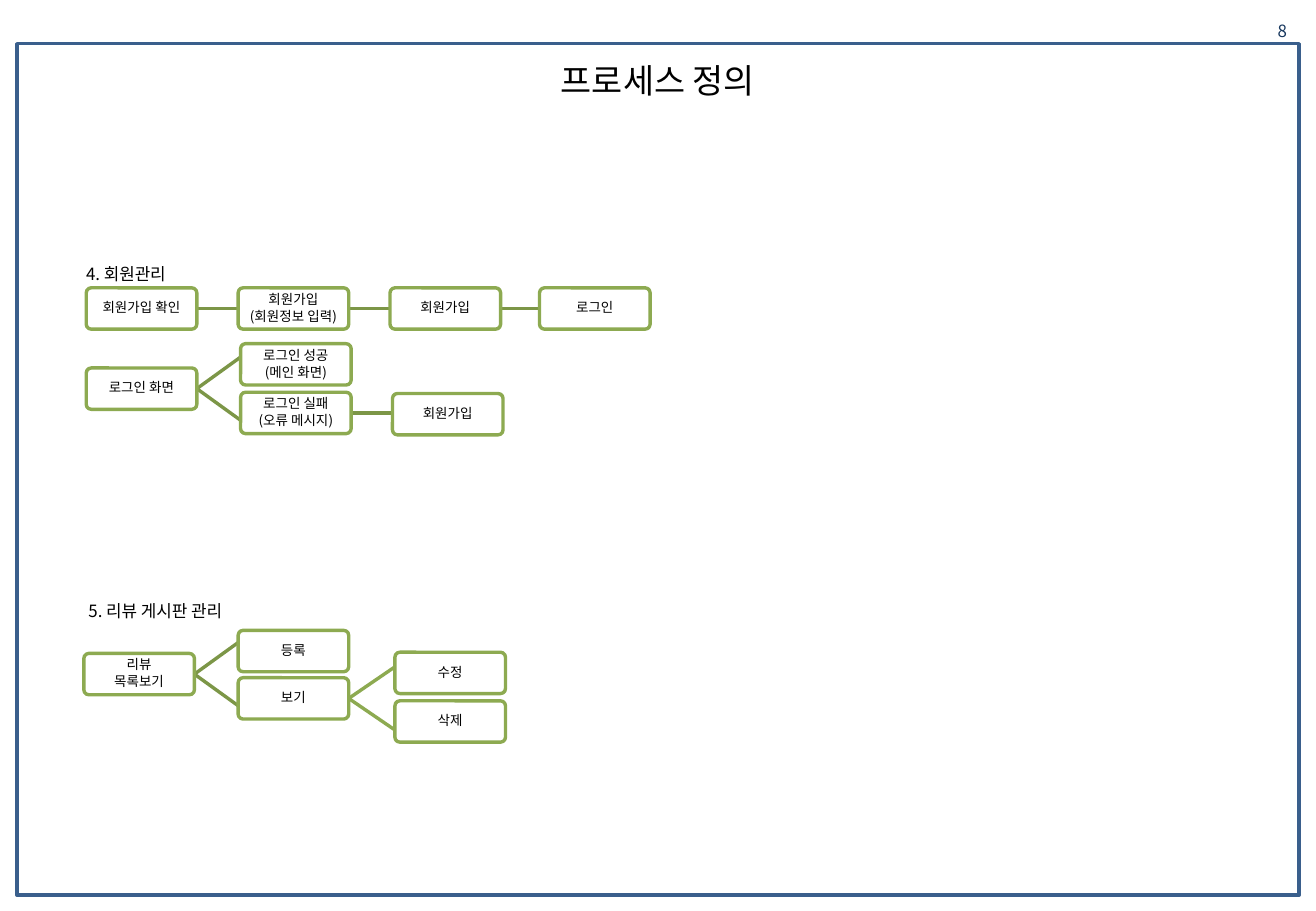
"""Build the process definition slide: member and review board flows."""
from lxml import etree
from pptx import Presentation
from pptx.dml.color import RGBColor
from pptx.enum.shapes import MSO_CONNECTOR, MSO_SHAPE
from pptx.enum.text import MSO_ANCHOR, PP_ALIGN
from pptx.oxml.ns import qn
from pptx.util import Inches, Pt

RECT, ROUNDED = MSO_SHAPE.RECTANGLE, MSO_SHAPE.ROUNDED_RECTANGLE
STRAIGHT = MSO_CONNECTOR.STRAIGHT
MIDDLE = MSO_ANCHOR.MIDDLE
LEFT, CENTER, RIGHT = PP_ALIGN.LEFT, PP_ALIGN.CENTER, PP_ALIGN.RIGHT
FONT = "Noto Sans CJK KR"
WHITE = RGBColor(0xFF, 0xFF, 0xFF)
BLACK = RGBColor(0x00, 0x00, 0x00)
NAVY = RGBColor(0x17, 0x37, 0x5E)
BLUE = RGBColor(0x3A, 0x5F, 0x8C)
GREEN = RGBColor(0x8D, 0xAA, 0x51)
DARK_GREEN = RGBColor(0x7C, 0x96, 0x47)
BOX_W, BOX_H = 0.91, 0.34
FORK_RISE = 0.26


def set_text(tf, text, size, color, align):
    """Fill a text frame and format every run."""
    tf.text = text
    tf.vertical_anchor = MIDDLE
    for p in tf.paragraphs:
        p.alignment = align
        for r in p.runs:
            r.font.name = FONT
            r.font.size = Pt(size)
            r.font.color.rgb = color
            ea = etree.SubElement(r.font._element, qn("a:ea"))
            ea.set("typeface", FONT)


prs = Presentation()
prs.slide_width, prs.slide_height = Inches(10.83), Inches(7.5)
s = prs.slides.add_slide(prs.slide_layouts[5])

title = s.shapes.title
title.left, title.top = Inches(0.14), Inches(0.38)
title.width, title.height = Inches(10.55), Inches(0.55)
set_text(title.text_frame, "프로세스 정의", 20, BLACK, CENTER)

frame = s.shapes.add_shape(RECT, Inches(0.14), Inches(0.36), Inches(10.55), Inches(7.01))
frame.shadow.inherit = False
frame.fill.background()
frame.line.color.rgb = BLUE
frame.line.width = Pt(2)

labels = [
    ("8", 10.06, 0.13, 0.63, 0.24, NAVY, RIGHT),
    ("4. 회원관리", 0.61, 2.12, 0.92, 0.27, BLACK, LEFT),
    ("5. 리뷰 게시판 관리", 0.63, 4.89, 1.44, 0.27, BLACK, LEFT),
]
for text, x, y, w, h, color, align in labels:
    sp = s.shapes.add_textbox(Inches(x), Inches(y), Inches(w), Inches(h))
    set_text(sp.text_frame, text, 10, color, align)
    sp.text_frame.word_wrap = False

boxes = {
    "confirm": ("회원가입 확인", 0.71, 2.37),
    "details": ("회원가입\n(회원정보 입력)", 1.96, 2.37),
    "join": ("회원가입", 3.21, 2.37),
    "login": ("로그인", 4.44, 2.37),
    "login screen": ("로그인 화면", 0.71, 3.03),
    "success": ("로그인 성공\n(메인 화면)", 1.98, 2.83),
    "failure": ("로그인 실패\n(오류 메시지)", 1.98, 3.23),
    "join after failure": ("회원가입", 3.23, 3.24),
    "review list": ("리뷰\n목록보기", 0.69, 5.38),
    "register": ("등록", 1.96, 5.19),
    "view": ("보기", 1.96, 5.58),
    "edit": ("수정", 3.25, 5.37),
    "delete": ("삭제", 3.25, 5.77),
}
links = [
    ("confirm", "details", 0, DARK_GREEN),
    ("details", "join", 0, DARK_GREEN),
    ("join", "login", 0, DARK_GREEN),
    ("login screen", "success", -FORK_RISE, DARK_GREEN),
    ("login screen", "failure", FORK_RISE, DARK_GREEN),
    ("failure", "join after failure", 0, DARK_GREEN),
    ("review list", "register", -FORK_RISE, DARK_GREEN),
    ("review list", "view", FORK_RISE, DARK_GREEN),
    ("view", "edit", -FORK_RISE, GREEN),
    ("view", "delete", FORK_RISE, GREEN),
]
for start, end, rise, color in links:
    x, y = boxes[start][1] + BOX_W, boxes[start][2] + BOX_H / 2
    line = s.shapes.add_connector(
        STRAIGHT, Inches(x), Inches(y), Inches(boxes[end][1]), Inches(y + rise))
    line.line.color.rgb = color
    line.line.width = Pt(2)
    etree.SubElement(line._element.spPr, qn("a:effectLst"))

for text, x, y in boxes.values():
    sp = s.shapes.add_shape(ROUNDED, Inches(x), Inches(y), Inches(BOX_W), Inches(BOX_H))
    sp.adjustments[0] = 0.12
    sp.shadow.inherit = False
    sp.fill.solid()
    sp.fill.fore_color.rgb = WHITE
    sp.line.color.rgb = GREEN
    sp.line.width = Pt(2)
    tf = sp.text_frame
    tf.margin_left = tf.margin_right = tf.margin_top = tf.margin_bottom = Inches(0.02)
    set_text(tf, text, 8, BLACK, CENTER)
    for p in tf.paragraphs:
        p.line_spacing = 0.9
        p.space_after = Pt(1.5)

prs.save("out.pptx")
